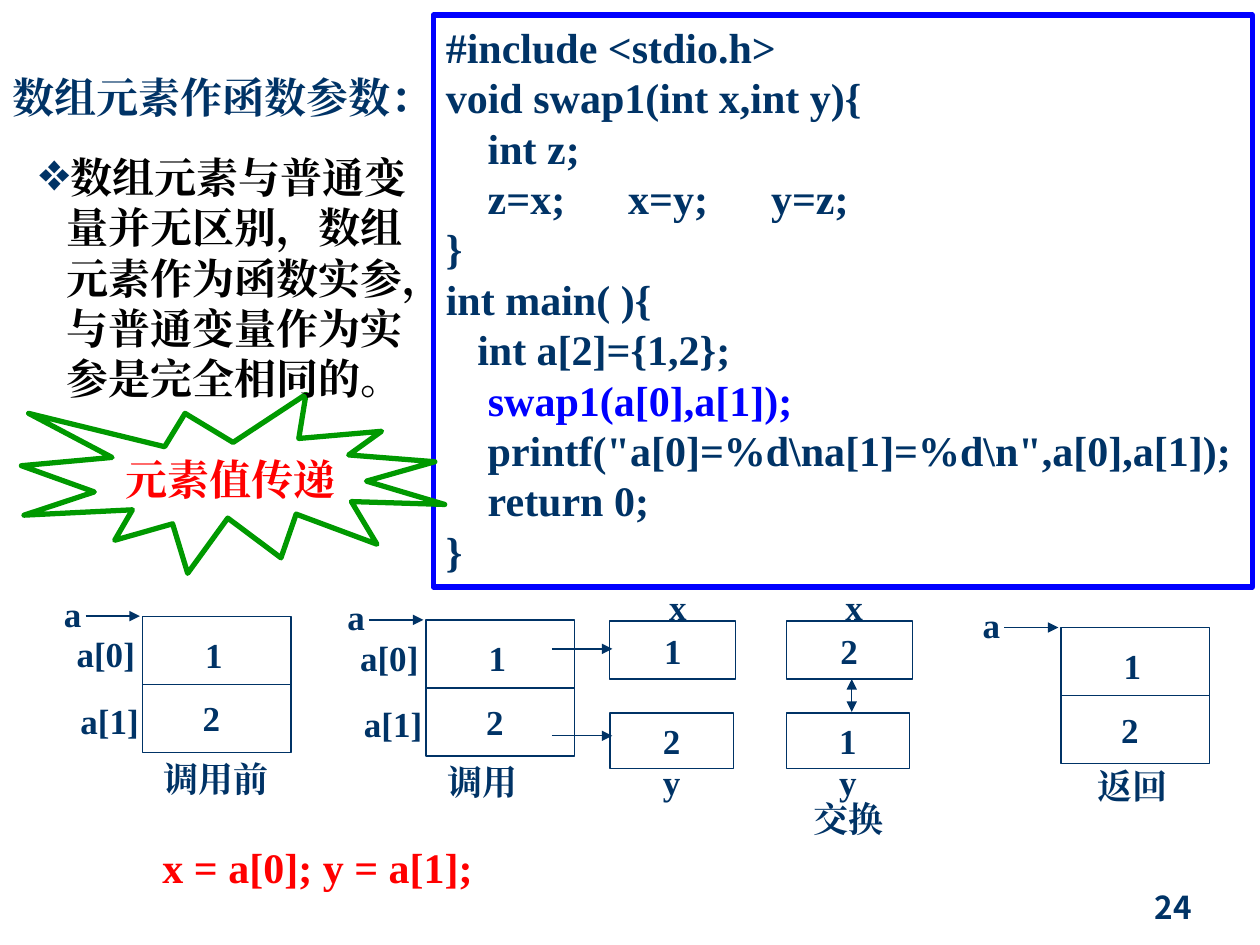
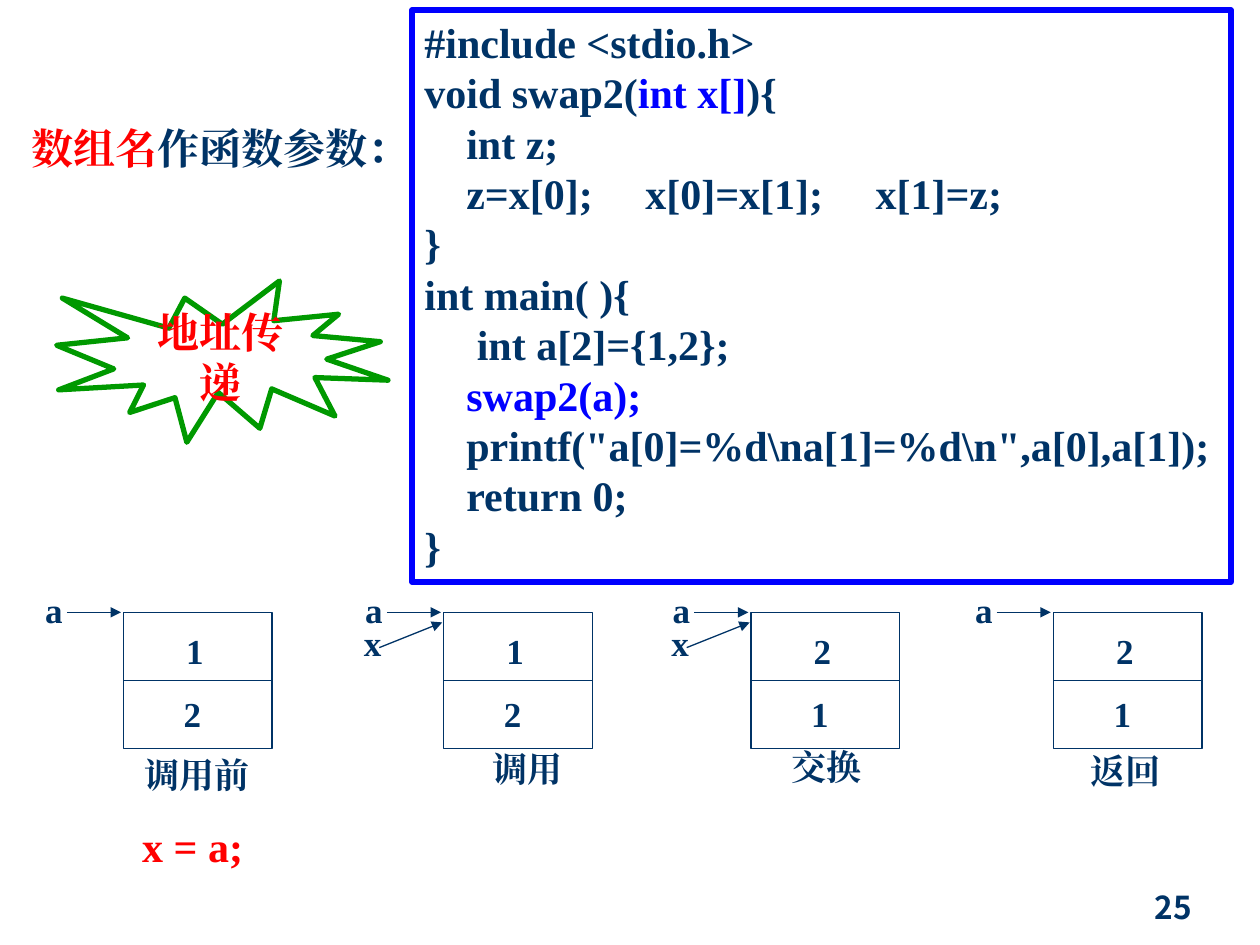
from dataclasses import dataclass

from lxml.etree import SubElement
from pptx import Presentation
from pptx.dml.color import RGBColor
from pptx.enum.shapes import MSO_CONNECTOR as Connector, MSO_SHAPE as Preset
from pptx.enum.text import MSO_ANCHOR as Anchor, MSO_AUTO_SIZE as AutoSize, PP_ALIGN as Align
from pptx.oxml.ns import qn
from pptx.util import Inches, Pt

COLUMNS, ROWS = 100, 75
TITLE_AND_BODY, TITLE_ONLY = 1, 5


@dataclass(frozen=True)
class Theme:
    ink: str = "003366"
    code: str = "0000FF"
    accent: str = "FF0000"
    seal: str = "009900"
    body: str = "000000"
    paper: str = "FFFFFF"
    font: str = "Times New Roman"
    number_font: str = "Noto Sans CJK JP"
    large: int = 24
    label: int = 20
    number: int = 18
    thin: float = 0.75
    thick: float = 3


def apply(target, values):
    for name, value in values.items():
        setattr(target, name, value)


class SlideBuilder:
    """Draws on the current slide; places are (column, row, columns, rows)."""

    def __init__(self, presentation, theme):
        self.presentation = presentation
        self.theme = theme
        self.slide = None

    def new_slide(self, layout):
        self.slide = self.presentation.slides.add_slide(self.presentation.slide_layouts[layout])

    def x(self, columns):
        return round(self.presentation.slide_width * columns / COLUMNS)

    def y(self, rows):
        return round(self.presentation.slide_height * rows / ROWS)

    def box(self, place):
        left, top, width, height = place
        return self.x(left), self.y(top), self.x(width), self.y(height)

    # Text
    def fill_text(self, shape, text, size, color=None, align=Align.LEFT, anchor=Anchor.TOP,
                  wrap=False, font=None, marks=(), mark_color=None):
        frame = shape.text_frame
        apply(frame, {"auto_size": AutoSize.NONE, "word_wrap": wrap, "vertical_anchor": anchor})
        base = color or self.theme.ink
        for index, line in enumerate(text.split("\n")):
            paragraph = frame.add_paragraph() if index else frame.paragraphs[0]
            apply(paragraph, {"alignment": align, "space_before": Pt(0)})
            mark = next((mark for mark in marks if mark in line), None)
            before, found, after = line.partition(mark) if mark else (line, "", "")
            for part, shade in ((before, base), (found, mark_color), (after, base)):
                if part:
                    self.add_run(paragraph, part, size, shade, font or self.theme.font)

    def add_run(self, paragraph, text, size, color, font):
        run = paragraph.add_run()
        run.text = text
        apply(run.font, {"name": font, "size": Pt(size), "bold": True})
        run.font.color.rgb = RGBColor.from_string(color)
        SubElement(run.font._element, qn("a:ea"), typeface=font)

    def text(self, place, text, size=None, **style):
        shape = self.slide.shapes.add_textbox(*self.box(place))
        self.fill_text(shape, text, size or self.theme.label, **style)

    def label(self, column, row, text, columns=3.4, **style):
        self.text((column, row, columns, 4.3), text, **style)

    def place(self, shape, place):
        apply(shape, dict(zip(("left", "top", "width", "height"), self.box(place))))

    def title(self, place, text, **style):
        shape = self.slide.shapes.title
        self.place(shape, place)
        self.fill_text(shape, text, self.theme.large, **style)

    def bullet(self, place, text):
        shape = self.slide.placeholders[1]
        self.place(shape, place)
        self.slide.shapes._spTree.append(shape._element)  # bring to front
        properties = shape.text_frame.paragraphs[0]._p.get_or_add_pPr()
        hanging = Inches(0.23)
        properties.set("marL", str(hanging))
        properties.set("indent", str(-hanging))
        color = SubElement(properties, qn("a:buClr"))
        SubElement(color, qn("a:srgbClr"), val=self.theme.ink)
        SubElement(properties, qn("a:buFont"), typeface=self.theme.font)
        SubElement(properties, qn("a:buChar"), char="❖")
        self.fill_text(shape, text, self.theme.large, color=self.theme.body, wrap=True)

    def page_number(self, number):
        self.text((79.2, 70, 16.4, 5), str(number), self.theme.number,
                  align=Align.RIGHT, font=self.theme.number_font)

    # Shapes and lines
    def shape(self, place, preset=Preset.RECTANGLE, line=None, width=None):
        shape = self.slide.shapes.add_shape(preset, *self.box(place))
        shape.shadow.inherit = False
        shape.fill.solid()
        shape.fill.fore_color.rgb = RGBColor.from_string(self.theme.paper)
        shape.line.color.rgb = RGBColor.from_string(line or self.theme.ink)
        shape.line.width = Pt(width or self.theme.thin)
        return shape

    def line(self, start, end, arrows=()):
        connector = self.slide.shapes.add_connector(
            Connector.STRAIGHT, self.x(start[0]), self.y(start[1]), self.x(end[0]), self.y(end[1]))
        connector.line.color.rgb = RGBColor.from_string(self.theme.ink)
        connector.line.width = Pt(self.theme.thin)
        for arrow in arrows:
            SubElement(connector.line._get_or_add_ln(), qn("a:" + arrow), type="triangle")
        SubElement(connector._element.spPr, qn("a:effectLst"))

    def arrow(self, start, end):
        self.line(start, end, ("tailEnd",))

    def code(self, column, row, text, marks):
        shape = self.shape((column, row, 65, 45.4), line=self.theme.code, width=self.theme.thick)
        self.fill_text(shape, text, self.theme.large, marks=marks, mark_color=self.theme.code)

    def seal(self, place, text):
        shape = self.shape(place, Preset.EXPLOSION1, self.theme.seal, self.theme.thick)
        self.fill_text(shape, text, self.theme.large, color=self.theme.accent,
                       align=Align.CENTER, anchor=Anchor.MIDDLE, wrap=True)

    # Diagram parts
    def array(self, column, row, values, caption, caption_at, indexes=False, alias=False):
        """Two stacked memory cells with the pointer a, and x when it is an alias."""
        self.shape((column, row, 11.8, 10.8))
        self.line((column, row + 5.4), (column + 11.8, row + 5.4))
        self.label(column + 4, row + 0.85, values[0])
        self.label(column + 3.8, row + 5.9, values[1])
        self.label(column - 7.2, row - 2.4, "a")
        self.arrow((column - 4.5, row), (column - 0.2, row))
        if indexes:
            self.label(column - 6.2, row + 0.8, "a[0]", 6.6, align=Align.CENTER)
            self.label(column - 5.9, row + 6.1, "a[1]", 6.6, align=Align.CENTER)
        if alias:
            self.label(column - 7.3, row + 0.2, "x")
            self.arrow((column - 5.1, row + 2.8), (column - 0.1, row + 0.8))
        self.label(column + caption_at[0], row + caption_at[1], caption, 10.3)

    def variables(self, column, x_value, y_value):
        """The parameters x and y, each in its own cell."""
        for place, value in (((column, 49.3, 10, 4.6), x_value), ((column, 56.6, 9.8, 4.4), y_value)):
            self.fill_text(self.shape(place), value, self.theme.label,
                           align=Align.CENTER, anchor=Anchor.MIDDLE)
        self.label(column + 3.7, 46, "x", align=Align.CENTER)
        self.label(column + 3.2, 59.9, "y", align=Align.CENTER)


SWAP_VALUES = r"""#include <stdio.h>
void swap1(int x,int y){
    int z;
    z=x;      x=y;      y=z;
}
int main( ){
   int a[2]={1,2};
    swap1(a[0],a[1]);
    printf("a[0]=%d\na[1]=%d\n",a[0],a[1]);
    return 0;
}"""

SWAP_ARRAY = r"""#include <stdio.h>
void swap2(int x[]){
    int z;
    z=x[0];     x[0]=x[1];     x[1]=z;
}
int main( ){
     int a[2]={1,2};
    swap2(a);
    printf("a[0]=%d\na[1]=%d\n",a[0],a[1]);
    return 0;
}"""


def element_slide(builder):
    theme = builder.theme
    builder.new_slide(TITLE_AND_BODY)
    builder.title((0, 5.2, 35.5, 5), "数组元素作函数参数：")
    # Memory before, during and after the call
    builder.array(11.3, 48.9, "12", "调用前", (0.7, 10.7), indexes=True)
    builder.array(33.8, 49.2, "12", "调用", (0.7, 10.7), indexes=True)
    builder.variables(48.4, "1", "2")
    for row in (51.5, 58.4):
        builder.arrow((43.8, row), (48.6, row))
    builder.variables(62.4, "2", "1")
    builder.line((67.6, 53.9), (67.6, 56.5), ("headEnd", "tailEnd"))
    builder.label(63.6, 62.8, "交换", 7.6)
    builder.array(84.2, 49.8, "12", "返回", (1.9, 10.4))
    # Code and explanation
    builder.code(34.4, 1.2, SWAP_VALUES, ("swap1(a[0],a[1]);",))
    builder.seal((1.7, 31.3, 33.6, 14.2), "元素值传递")
    builder.bullet((2, 11.5, 32.7, 21),
                   "数组元素与普通变量并无区别，数组元素作为函数实参，与普通变量作为实参是完全相同的。")
    builder.text((11.9, 66.3, 33.5, 5.1), "x = a[0]; y = a[1];", theme.large, color=theme.accent)
    builder.page_number(24)


def array_slide(builder):
    theme = builder.theme
    builder.new_slide(TITLE_ONLY)
    builder.title((1.5, 9.2, 32, 5), "数组名作函数参数：", marks=("数组名",), mark_color=theme.accent)
    # Memory through the four stages of the call
    stages = (
        (9.8, "12", "调用前", (0.7, 10.7), False),
        (35.2, "12", "调用", (2.9, 10.2), True),
        (59.6, "21", "交换", (2.2, 10.1), True),
        (83.6, "21", "返回", (2, 10.4), False),
    )
    for column, values, caption, caption_at, alias in stages:
        builder.array(column, 48.6, values, caption, caption_at, alias=alias)
    # Code and explanation
    builder.code(32.7, 0.8, SWAP_ARRAY, ("int x[]", "swap2(a);"))
    builder.seal((4.5, 22.3, 26.3, 12.8), "地址传递")
    builder.text((10.3, 64.6, 17.6, 5.1), "x = a;", theme.large, color=theme.accent)
    builder.page_number(25)


def main():
    presentation = Presentation()
    apply(presentation, {"slide_width": Inches(10), "slide_height": Inches(7.5)})
    builder = SlideBuilder(presentation, Theme())
    element_slide(builder)
    array_slide(builder)
    presentation.save("out.pptx")


if __name__ == "__main__":
    main()
